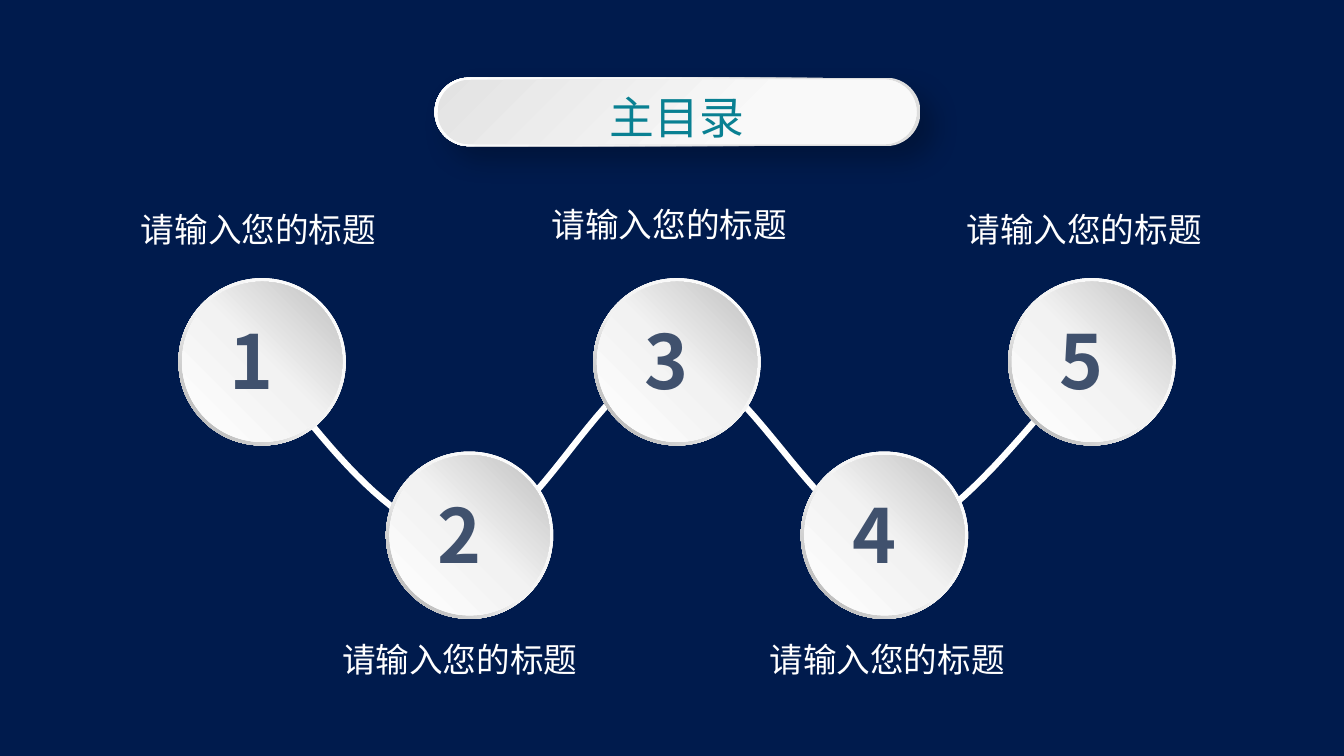
from dataclasses import dataclass

from lxml import etree
from pptx import Presentation
from pptx import util as u
from pptx.dml.color import RGBColor
from pptx.enum import shapes, text
from pptx.oxml.ns import qn

FONT = "Noto Sans CJK SC"
NAVY, WHITE, SLATE, TEAL = "001B4D", "FFFFFF", "40516D", "098092"
LABEL = "请输入您的标题"

LEFT, TOP = 2.6, 3.59
COL, ROW = 8.23 / 4, 1.72
RING, DISC = 1.66, 1.59
LABEL_W, LABEL_H = 2.56, 0.5

Point = tuple[float, float]


@dataclass(frozen=True)
class Node:
    number: int
    row: int
    label_dx: float
    label_dy: float


@dataclass(frozen=True)
class Gradient:
    stops: tuple[tuple[int, str], ...]
    angle: int


@dataclass(frozen=True)
class Box:
    x: float
    y: float
    w: float
    h: float

    def emu(self) -> tuple[int, ...]:
        return tuple(u.Inches(v) for v in (self.x, self.y, self.w, self.h))


NODES = [
    Node(1, 0, -0.01, -0.91),
    Node(2, 1, -0.04, 0.57),
    Node(3, 0, -0.03, -0.94),
    Node(4, 1, 0.02, 0.57),
    Node(5, 0, -0.03, -0.91),
]
WAVE: list[tuple[Point, Point, Point, Point]] = [
    ((0, 0), (0.33, 0.51), (0.66, 1.02), (0.99, 1.01)),
    ((0.99, 1.01), (1.32, 1.01), (1.65, 0), (1.99, 0)),
    ((1.99, 0), (2.33, 0), (2.68, 1.01), (3.02, 1.01)),
    ((3.02, 1.01), (3.35, 1.01), (3.83, 0.12), (4, 0)),
]
RING_FILL = Gradient(((0, WHITE), (55, "F2F2F2"), (100, "A6A6A6")), 135)
DISC_FILL = Gradient(((0, WHITE), (51, "F2F2F2"), (100, "BFBFBF")), 315)
RIM_FILL = Gradient(((1, "DEDEDE"), (30, "E0E0E0"), (61, "F6F6F6"), (100, WHITE)), 225)
BANNER_FILL = Gradient(((0, "E3E3E3"), (67, "F9F9F9")), 45)


def rgb(value: str) -> RGBColor:
    return RGBColor.from_string(value)


def centred(x: float, y: float, w: float, h: float) -> Box:
    return Box(x - w / 2, y - h / 2, w, h)


def add_gradient_shape(parent, kind, box: Box, gradient: Gradient, adj: float | None = None):
    sp = parent.add_shape(kind, *box.emu())
    sp.shadow.inherit = False
    sp.line.fill.background()
    if adj is not None:
        sp.adjustments[0] = adj
    grad = etree.Element(qn("a:gradFill"), rotWithShape="1")
    stops = etree.SubElement(grad, qn("a:gsLst"))
    for position, color in gradient.stops:
        stop = etree.SubElement(stops, qn("a:gs"), pos=str(position * 1000))
        etree.SubElement(stop, qn("a:srgbClr"), val=color)
    etree.SubElement(grad, qn("a:lin"), ang=str(gradient.angle * 60000), scaled="0")
    sp._element.spPr.find(qn("a:prstGeom")).addnext(grad)
    return sp


def add_shadow(sp, color: str, alpha: int, blur: int, dist: int, angle: int) -> None:
    effects = sp._element.spPr.find(qn("a:effectLst"))
    shadow = etree.SubElement(
        effects, qn("a:outerShdw"), blurRad=str(u.Pt(blur)), dist=str(u.Pt(dist)),
        dir=str(angle * 60000), algn="tl", rotWithShape="0")
    clr = etree.SubElement(shadow, qn("a:srgbClr"), val=color)
    etree.SubElement(clr, qn("a:alpha"), val=str(alpha * 1000))


def write(tf, content: str, size: float, color: str, bold: bool = False) -> None:
    p = tf.paragraphs[0]
    p.text = content
    p.font.size = u.Pt(size)
    p.font.bold = bold
    p.font.color.rgb = rgb(color)
    p.font.name = FONT
    etree.SubElement(p._p.pPr.find(qn("a:defRPr")), qn("a:ea"), typeface=FONT)


def add_text(parent, box: Box, content: str, size: float, color: str, bold: bool = False) -> None:
    tf = parent.add_textbox(*box.emu()).text_frame
    tf.word_wrap = False
    tf.auto_size = text.MSO_AUTO_SIZE.SHAPE_TO_FIT_TEXT
    write(tf, content, size, color, bold)


def bezier(points: tuple[Point, Point, Point, Point], t: float) -> Point:
    weights = ((1 - t) ** 3, 3 * t * (1 - t) ** 2, 3 * t * t * (1 - t), t ** 3)
    col, row = (sum(w * p[axis] for w, p in zip(weights, points)) for axis in (0, 1))
    return u.Inches(LEFT + col * COL), u.Inches(TOP + row * ROW)


def add_wave(s, steps: int = 24) -> None:
    builder = s.shapes.build_freeform(*bezier(WAVE[0], 0))
    builder.add_line_segments(
        [bezier(curve, i / steps) for curve in WAVE for i in range(1, steps + 1)], close=False)
    sp = builder.convert_to_shape()
    sp.shadow.inherit = False
    sp.fill.background()
    sp.line.color.rgb = rgb(WHITE)
    sp.line.width = u.Pt(4.5)


def add_node(s, node: Node) -> None:
    x, y = LEFT + (node.number - 1) * COL, TOP + node.row * ROW
    group = s.shapes.add_group_shape().shapes
    add_gradient_shape(group, shapes.MSO_SHAPE.DONUT, centred(x, y, RING, RING), RING_FILL, 0.049)
    add_gradient_shape(group, shapes.MSO_SHAPE.OVAL, centred(x, y, DISC, DISC), DISC_FILL)
    add_text(group, centred(x - 0.09, y - 0.01, 0.66, 1), str(node.number), 53.3, SLATE, True)
    label = centred(x + node.label_dx * COL, y + node.label_dy * ROW + LABEL_H / 2, LABEL_W, LABEL_H)
    add_text(s.shapes, label, LABEL, 24, WHITE)


def add_banner(s) -> None:
    group = s.shapes.add_group_shape().shapes
    pill = shapes.MSO_SHAPE.ROUNDED_RECTANGLE
    rim = add_gradient_shape(group, pill, Box(4.31, 0.77, 4.82, 0.68), RIM_FILL, 0.5)
    add_shadow(rim, "000000", 24, 19, 14, 45)
    add_gradient_shape(group, pill, Box(4.34, 0.79, 4.75, 0.64), BANNER_FILL, 0.5)
    title = s.shapes.title
    title.left, title.top, title.width, title.height = Box(5.56, 0.84, 2.31, 0.64).emu()
    tf = title.text_frame
    tf.word_wrap = True
    tf.auto_size = text.MSO_AUTO_SIZE.NONE
    tf.vertical_anchor = text.MSO_ANCHOR.TOP
    write(tf, "主目录", 32, TEAL)
    tf.paragraphs[0].alignment = text.PP_ALIGN.CENTER
    s.shapes._spTree.append(title._element)


def main() -> None:
    prs = Presentation()
    prs.slide_width, prs.slide_height = u.Inches(13.33), u.Inches(7.5)
    s = prs.slides.add_slide(prs.slide_layouts[5])
    s.background.fill.solid()
    s.background.fill.fore_color.rgb = rgb(NAVY)
    add_wave(s)
    for node in NODES:
        add_node(s, node)
    add_banner(s)
    prs.save("out.pptx")


if __name__ == "__main__":
    main()
